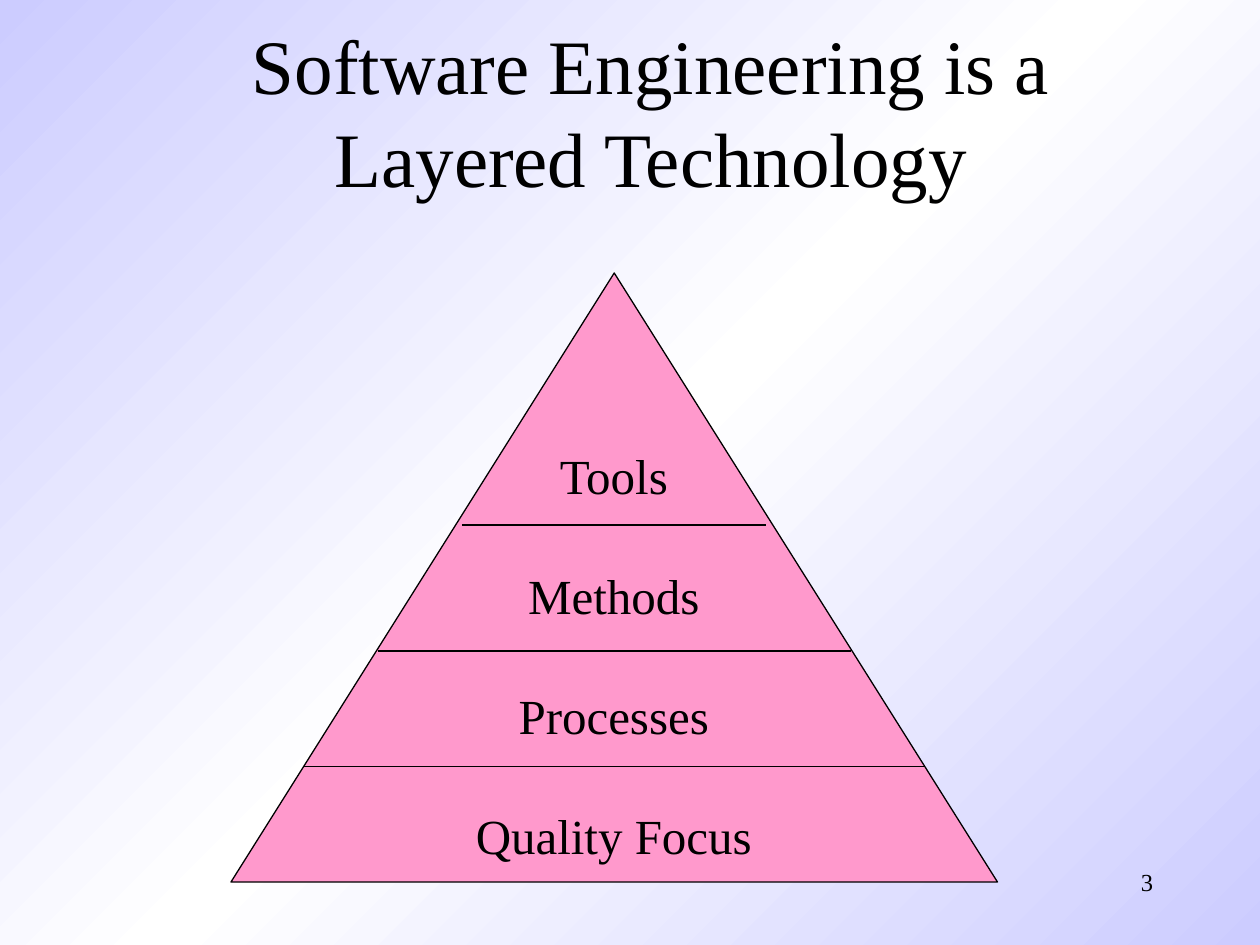
from copy import deepcopy

from lxml import etree
from pptx import Presentation
from pptx.dml.color import RGBColor
from pptx.enum.shapes import MSO_CONNECTOR, MSO_SHAPE
from pptx.enum.text import MSO_ANCHOR, MSO_AUTO_SIZE, PP_ALIGN
from pptx.oxml.ns import qn
from pptx.util import Pt

PX = 7620  # EMU, 120 px to the inch
BLACK = RGBColor(0x00, 0x00, 0x00)
PINK = RGBColor(0xFF, 0x99, 0xCC)
LAVENDER = RGBColor(0xCC, 0xCC, 0xFF)
WHITE = RGBColor(0xFF, 0xFF, 0xFF)
CENTER, RIGHT = PP_ALIGN.CENTER, PP_ALIGN.RIGHT
MIDDLE = MSO_ANCHOR.MIDDLE
NO_FIT = MSO_AUTO_SIZE.NONE
STRAIGHT = MSO_CONNECTOR.STRAIGHT
TRIANGLE = MSO_SHAPE.ISOSCELES_TRIANGLE


def px(*lengths):
    return [n * PX for n in lengths]


class Deck:
    font = "Times New Roman"
    line_width = Pt(0.75)

    def __init__(self, slide):
        self.s = slide

    def background(self, edge, middle):
        """Fill diagonally from edge to middle and back to edge."""
        fill = self.s.background.fill
        fill.gradient()
        fill.gradient_angle = 315
        first, last = fill.gradient_stops
        first.color.rgb = last.color.rgb = edge
        first.position, last.position = 0, 1
        stops = self.s._element.find(".//" + qn("a:gsLst"))
        stops.insert(1, deepcopy(stops[0]))
        centre = self.s.background.fill.gradient_stops[1]
        centre.position = 0.5
        centre.color.rgb = middle

    def set_text(self, tf, text, size, align, gap=0):
        tf.text = text
        for i, p in enumerate(tf.paragraphs):
            p.alignment = align
            p.space_before = Pt(gap if i else 0)
            for r in p.runs:
                r.font.name = self.font
                r.font.size = Pt(size)
                r.font.color.rgb = BLACK

    def title(self, text, box, size):
        sp = self.s.shapes.title
        sp.left, sp.top, sp.width, sp.height = px(*box)
        tf = sp.text_frame
        self.set_text(tf, text, size, CENTER)
        tf.auto_size = NO_FIT
        tf.vertical_anchor = MIDDLE

    def text(self, parent, text, box, size, align, wrap=True, gap=0, top=6):
        tf = parent.shapes.add_textbox(*px(*box)).text_frame
        tf.word_wrap = wrap
        tf.margin_top = top * PX
        self.set_text(tf, text, size, align, gap)

    def triangle(self, parent, box):
        sp = parent.shapes.add_shape(TRIANGLE, *px(*box))
        sp.shadow.inherit = False
        sp.fill.solid()
        sp.fill.fore_color.rgb = PINK
        sp.line.color.rgb = BLACK
        sp.line.width = self.line_width

    def divider(self, parent, left, right, y):
        line = parent.shapes.add_connector(STRAIGHT, *px(left, y, right, y))
        line.line.color.rgb = BLACK
        line.line.width = self.line_width
        etree.SubElement(line._element.spPr, qn("a:effectLst"))


def main():
    prs = Presentation()
    prs.slide_width, prs.slide_height = px(1200, 900)
    deck = Deck(prs.slides.add_slide(prs.slide_layouts[5]))
    deck.background(LAVENDER, WHITE)
    deck.text(deck.s, "3", (860, 820, 250, 60), 14, RIGHT)
    deck.title("Software Engineering is a Layered Technology",
               (110, 30, 1020, 150), 44)

    pyramid = deck.s.shapes.add_group_shape()
    deck.triangle(pyramid, (220, 260, 730, 580))
    layers = ["Tools", "Methods", "Processes", "Quality Focus"]
    deck.text(pyramid, "\n".join(layers), (441, 413, 287, 404), 28, CENTER,
              wrap=False, gap=35, top=11)
    for left, right, y in [(440, 730, 500), (360, 810, 620), (290, 880, 730)]:
        deck.divider(pyramid, left, right, y)
    prs.save("out.pptx")


if __name__ == "__main__":
    main()
